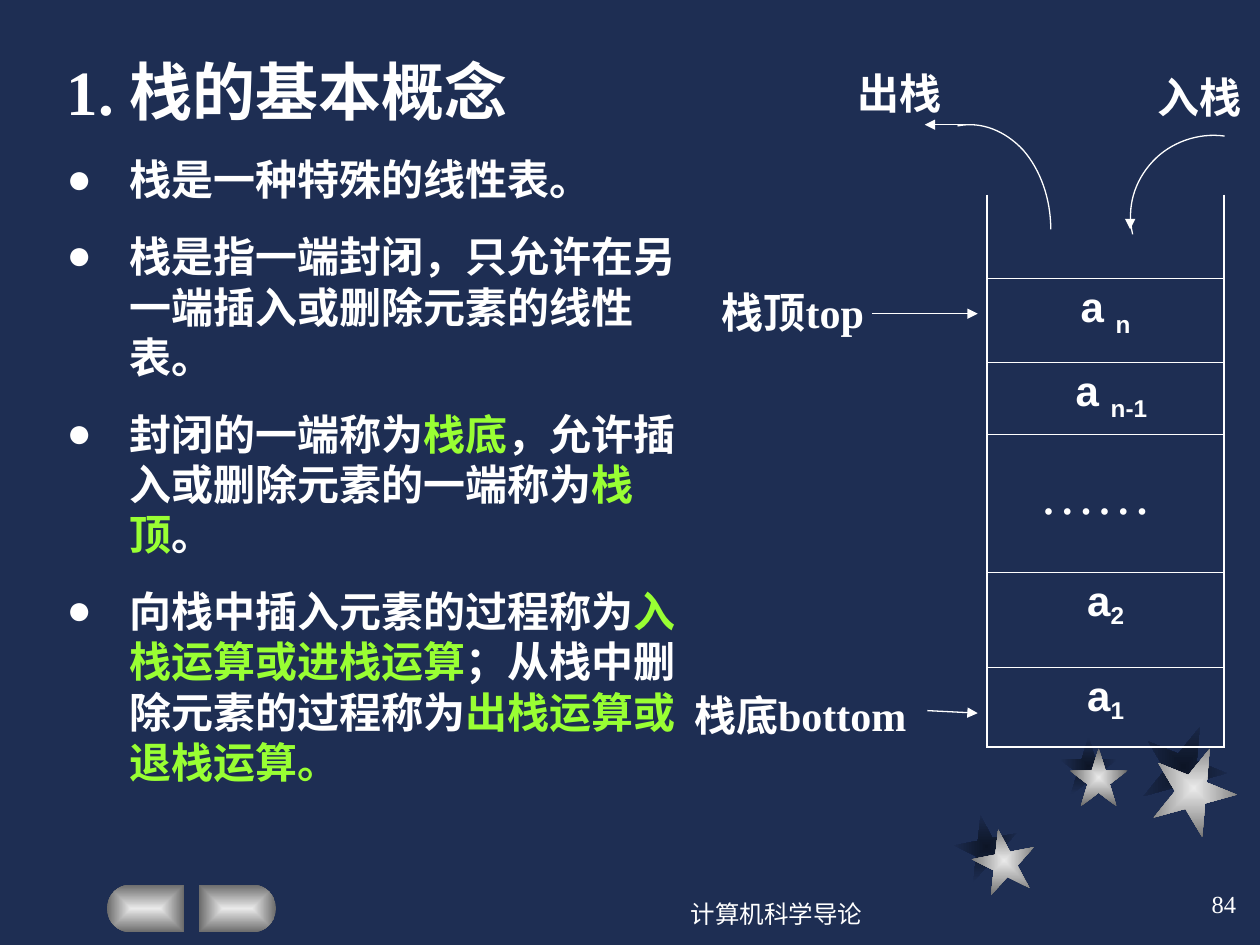
"""Build a slide on the basic ideas of a stack, with a diagram of its cells."""
from dataclasses import dataclass
from math import cos, pi, sin
from typing import NamedTuple, Optional

from lxml.etree import SubElement
from pptx import Presentation
from pptx.dml.color import RGBColor as Rgb
from pptx.enum.shapes import MSO_CONNECTOR as Connector, MSO_SHAPE as Preset
from pptx.enum.text import MSO_ANCHOR as Anchor, MSO_AUTO_SIZE as AutoSize, PP_ALIGN as Align
from pptx.oxml.ns import qn
from pptx.util import Inches, Pt


@dataclass(frozen=True)
class Theme:
    """Colours, fonts, type sizes and line widths."""
    ground: str = "1E2E53"
    ink: str = "FFFFFF"
    accent: str = "99FF33"
    shade: tuple = ("0D1526", "1E2E53")
    silver: tuple = ("EAEAEA", "6B6B6B")
    serif: str = "Times New Roman"
    sans: str = "Arial"
    title: int = 36
    large: int = 32
    body: int = 24
    small: int = 14
    thin: float = 0.45
    stroke: float = 0.75
    wall: float = 1.08


class Area(NamedTuple):
    """A block of the grid: column, row, columns wide, rows high."""
    col: float
    row: float
    wide: float
    high: float


class Span(NamedTuple):
    """A piece of text with its own look."""
    text: str
    color: str = Theme.ink
    size: int = Theme.body
    base: int = 0


class Star(NamedTuple):
    """A star with its turn and colours."""
    area: Area
    turn: int
    colors: tuple


class Cell(NamedTuple):
    """A stack cell: rows high, name, index and how far the index is lowered."""
    high: float
    name: str = ""
    index: str = ""
    base: int = 0


THEME = Theme()
COLUMNS, ROWS = 100, 75


def grid(count: float) -> int:
    """Turn a number of grid columns or rows into a length."""
    return Inches(10 * count / COLUMNS)


def place(area: Area) -> list:
    """Turn an area into lengths."""
    return [grid(value) for value in area]


def write(para, spans, *, font=THEME.serif, bold=True) -> None:
    """Add spans to a paragraph."""
    for span in spans:
        run = para.add_run()
        run.text = span.text
        run.font.name, run.font.size, run.font.bold = font, Pt(span.size), bold
        run.font.color.rgb = Rgb.from_string(span.color)
        if span.base:
            run._r.get_or_add_rPr().set("baseline", str(span.base * 1000))


def add_text(page, area: Area, text: str, *, size=THEME.body, bold=True,
             align=None, anchor=Anchor.TOP, wrap=True, grow=True, lead: Optional[Span] = None):
    """Add a one-paragraph text box and return it."""
    box = page.shapes.add_textbox(*place(area))
    frame = box.text_frame
    frame.word_wrap, frame.vertical_anchor = wrap, anchor
    frame.auto_size = AutoSize.SHAPE_TO_FIT_TEXT if grow else AutoSize.NONE
    para = frame.paragraphs[0]
    para.alignment = align
    write(para, ([lead] if lead else []) + [Span(text, size=size)], bold=bold)
    return box


def hang(para) -> None:
    """Give a paragraph a hanging indent and keep punctuation inside the box."""
    props = para._p.get_or_add_pPr()
    props.set("marL", str(Inches(0.5)))
    props.set("indent", str(-Inches(0.5)))
    props.set("hangingPunct", "0")


def add_bullet(frame, spans) -> None:
    """Add a bulleted paragraph to a frame."""
    para = frame.add_paragraph()
    para.space_before = Pt(15)
    hang(para)
    props = para._p.get_or_add_pPr()
    SubElement(SubElement(props, qn("a:buClr")), qn("a:srgbClr")).set("val", THEME.ink)
    SubElement(props, qn("a:buFont")).set("typeface", THEME.serif)
    SubElement(props, qn("a:buChar")).set("char", "●")
    write(para, spans)


def glow(shape, colors) -> None:
    """Fill a shape from its centre outwards."""
    shape.shadow.inherit = False
    shape.line.fill.background()
    shape.fill.gradient()
    for stop, color, position in zip(shape.fill.gradient_stops, colors, (0, 1)):
        stop.color.rgb, stop.position = Rgb.from_string(color), position
    gradient = shape._element.spPr.find(qn("a:gradFill"))
    linear = gradient.find(qn("a:lin"))
    if linear is not None:
        gradient.remove(linear)
    centre = SubElement(SubElement(gradient, qn("a:path"), path="rect"), qn("a:fillToRect"))
    for side in "ltrb":
        centre.set(side, "50000")


def add_star(page, star: Star) -> None:
    """Draw one star."""
    shape = page.shapes.add_shape(Preset.STAR_5_POINT, *place(star.area))
    shape.rotation = star.turn
    glow(shape, star.colors)


def add_outline(page, points, *, close: bool):
    """Draw a freeform through grid points and return it."""
    first, *rest = [(grid(x), grid(y)) for x, y in points]
    builder = page.shapes.build_freeform(*first, scale=1.0)
    builder.add_line_segments(rest, close=close)
    return builder.convert_to_shape()


def add_button(page, flat: float, centre: float) -> None:
    """Draw a button with one flat end and one round end."""
    side, radius, middle = (1 if centre > flat else -1), 1.9, 72.1
    turns = [pi * step / 20 - pi / 2 for step in range(21)]
    curve = [(centre + side * radius * cos(turn), middle + radius * sin(turn)) for turn in turns]
    points = [(flat, middle - radius), *curve, (flat, middle + radius)]
    glow(add_outline(page, points, close=True), THEME.silver)


def add_arc(page, area: Area, start, *curves) -> None:
    """Draw joined cubic curves as one open line in the frame of an area."""
    left, top, right, bottom = area.col, area.row, area.col + area.wide, area.row + area.high
    shape = add_outline(page, [(left, top), (right, top), (right, bottom)], close=False)
    outline = next(shape._element.iter(qn("a:path")))
    for child in list(outline):
        outline.remove(child)
    for tag, points in [("a:moveTo", [start])] + [("a:cubicBezTo", curve) for curve in curves]:
        step = SubElement(outline, qn(tag))
        for x, y in points:
            SubElement(step, qn("a:pt"), x=str(grid(x - left)), y=str(grid(y - top)))
    shape.shadow.inherit = False
    shape.fill.background()
    shape.line.color.rgb, shape.line.width = Rgb.from_string(THEME.ink), Pt(THEME.stroke)


def add_arrow(page, *ends: float) -> None:
    """Draw an arrow between two grid points."""
    arrow = page.shapes.add_connector(Connector.STRAIGHT, *map(grid, ends))
    arrow.line.color.rgb, arrow.line.width = Rgb.from_string(THEME.ink), Pt(THEME.stroke)
    SubElement(arrow.line._get_or_add_ln(), qn("a:tailEnd"), type="triangle")
    SubElement(arrow._element.spPr, qn("a:effectLst"))


def add_border(cell, side: str, width: float) -> None:
    """Set one border of a table cell; no width means no line."""
    line = SubElement(cell._tc.get_or_add_tcPr(), qn(f"a:ln{side}"), w=str(Pt(width)))
    if width:
        SubElement(SubElement(line, qn("a:solidFill")), qn("a:srgbClr")).set("val", THEME.ink)
    else:
        SubElement(line, qn("a:noFill"))


def add_stack(page, area: Area, cells) -> None:
    """Draw the stack as a table that is open at the top."""
    table = page.shapes.add_table(len(cells), 1, *place(area)).table
    table.first_row = table.horz_banding = False
    for number, item in enumerate(cells):
        table.rows[number].height = grid(item.high)
        cell = table.cell(number, 0)
        top = THEME.thin if number else 0
        bottom = THEME.wall if item is cells[-1] else THEME.thin
        for side, width in zip("LRTB", (THEME.wall, THEME.wall, top, bottom)):
            add_border(cell, side, width)
        cell.fill.background()
        if item.name:
            para = cell.text_frame.paragraphs[0]
            para.alignment = Align.CENTER
            write(para, [Span(item.name), Span(item.index, base=item.base)], font=THEME.sans)


def main() -> None:
    """Build and save the deck."""
    deck = Presentation()
    deck.slide_width, deck.slide_height = grid(COLUMNS), grid(ROWS)
    page = deck.slides.add_slide(deck.slide_layouts[6])
    page.background.fill.solid()
    page.background.fill.fore_color.rgb = Rgb.from_string(THEME.ground)

    for star in (Star(Area(75.8, 64.7, 5, 5), 349, THEME.shade),
                 Star(Area(84.1, 58.5, 4.6, 4.6), 0, THEME.shade),
                 Star(Area(90.6, 57.5, 6.7, 6.7), 22, THEME.shade),
                 Star(Area(77.2, 65.8, 5, 5), 349, THEME.silver),
                 Star(Area(84.9, 59.4, 4.6, 4.6), 0, THEME.silver),
                 Star(Area(91.4, 59.2, 6.7, 6.7), 22, THEME.silver)):
        add_star(page, star)
    add_button(page, 14.6, 10.4)
    add_button(page, 15.8, 20)

    notes = add_text(page, Area(4.3, 3.65, 52, 51.4), "1. 栈的基本概念", size=THEME.title).text_frame
    hang(notes.paragraphs[0])
    for spans in ([Span("栈是一种特殊的线性表。")],
                  [Span("栈是指一端封闭，只允许在另一端插入或删除元素的线性表。")],
                  [Span("封闭的一端称为"), Span("栈底", THEME.accent),
                   Span("，允许插入或删除元素的一端称为"), Span("栈顶", THEME.accent), Span("。")],
                  [Span("向栈中插入元素的过程称为"), Span("入栈运算或进栈运算", THEME.accent),
                   Span("；从栈中删除元素的过程称为"), Span("出栈运算或退栈运算。", THEME.accent)]):
        add_bullet(notes, spans)

    add_stack(page, Area(78.35, 15.45, 18.8, 43.9),
              [Cell(6.65, "", ""), Cell(6.65, "a ", "n", -25), Cell(5.7, " a ", "n-1", -25),
               Cell(11), Cell(7.55, "a", "2", -18), Cell(6.3, "a", "1", -18)])
    add_text(page, Area(81.5, 35.9, 11.4, 6.4), "……", size=THEME.large, bold=False)

    add_arc(page, Area(70.1, 9.9, 13.3, 16.7), (76, 10),
            ((77.9, 9.6), (79.8, 10.4), (81.2, 11.9)), ((82.6, 13.5), (83.4, 15.8), (83.4, 18.2)))
    add_arc(page, Area(89.7, 10.7, 13.3, 12.9), (97.2, 10.8),
            ((95.1, 10.5), (92.9, 11.3), (91.5, 12.8)), ((90, 14.4), (89.4, 16.5), (89.9, 18.6)))
    for ends in ((76.7, 9.9, 73.4, 9.9), (89.7, 16.5, 89.7, 18.2),
                 (73.6, 56.4, 77.6, 56.6), (69.2, 24.9, 77.6, 24.9)):
        add_arrow(page, *ends)

    add_text(page, Area(56.3, 22.25, 14.3, 5), "栈顶top")
    add_text(page, Area(53.1, 53.15, 21.3, 10.4), "栈底bottom", lead=Span(" ", size=THEME.large))
    add_text(page, Area(67.1, 4.9, 8.8, 5), "出栈", wrap=False)
    add_text(page, Area(90.9, 5.2, 8.8, 5), "入栈", wrap=False)
    for area, text, align in ((Area(45.8, 70, 31.7, 5), "计算机科学导论", Align.CENTER),
                              (Area(78.3, 69.2, 20.8, 5), "84", Align.RIGHT)):
        add_text(page, area, text, size=THEME.small, bold=False, align=align,
                 anchor=Anchor.MIDDLE, grow=False)
    deck.save("out.pptx")


if __name__ == "__main__":
    main()
